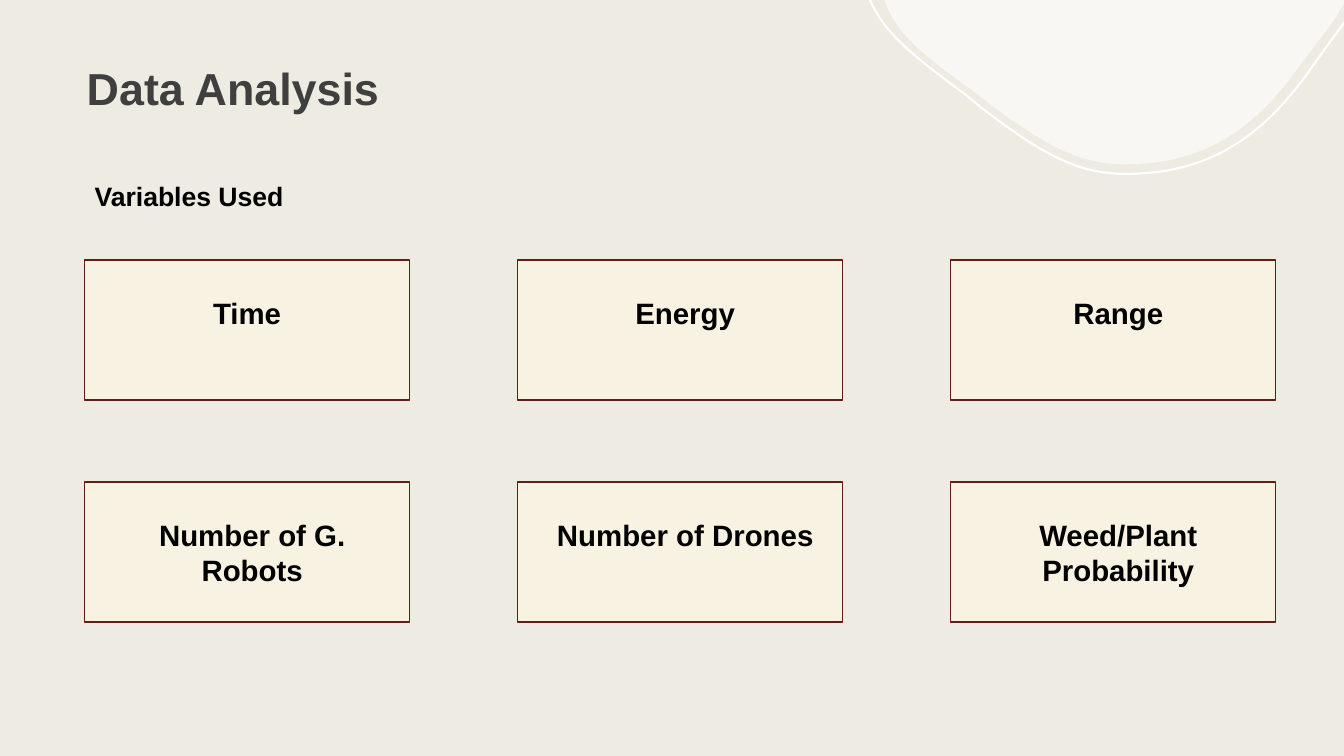
import dataclasses

import lxml.etree
import pptx
import pptx.dml.color
import pptx.enum.shapes
import pptx.enum.text
import pptx.oxml.ns
import pptx.util

Inches = pptx.util.Inches
qn = pptx.oxml.ns.qn
ANCHOR = pptx.enum.text.MSO_ANCHOR
ALIGN = pptx.enum.text.PP_ALIGN


@dataclasses.dataclass(frozen=True)
class Theme:
    font: str = "Arial"
    background: str = "EEEBE2"
    white: str = "FFFFFF"
    heading: str = "3F3F3F"
    ink: str = "000000"
    card: str = "F8F2E2"
    border: str = "601E17"
    title_size: int = 32
    subtitle_size: int = 19
    card_size: int = 21


THEME = Theme()
WIDTH, HEIGHT = 13.33, 7.5

# Card grid: first corner, card size and distance between cards
LEFT, TOP = 0.84, 2.58
CARD_W, CARD_H = 3.22, 1.39
STEP_X, STEP_Y = (9.43 - LEFT) / 2, 2.2
VARIABLES = [
    ["Time", "Energy", "Range"],
    ["Number of G. Robots", "Number of Drones", "Weed/Plant Probability"],
]

# Blob outline: a start point, then cubic segments (two controls, one end)
BLOB_START = (8.77, -0.82)
BLOB_CURVES = [
    [(8.73, -0.63), (8.72, -0.48), (8.72, -0.32)],
    [(8.72, -0.07), (8.8, 0.13), (8.96, 0.33)],
    [(9.14, 0.54), (9.41, 0.73), (9.69, 0.93)],
    [(9.74, 0.97), (9.79, 1.01), (9.84, 1.05)],
    [(10.32, 1.4), (10.67, 1.63), (11.15, 1.63)],
    [(11.87, 1.63), (12.39, 1.35), (12.87, 0.68)],
    [(12.93, 0.6), (12.99, 0.52), (13.05, 0.44)],
    [(13.29, 0.13), (13.41, -0.04), (13.41, -0.32)],
    [(13.41, -0.46), (13.39, -0.6), (13.33, -0.82)],
]


def rgb(value):
    return pptx.dml.color.RGBColor.from_string(value)


def add_outline(s, place):
    """Blob outline with every point moved by place(x, y)."""
    def emu(point):
        return tuple(int(Inches(v)) for v in place(*point))

    curves = [[emu(point) for point in curve] for curve in BLOB_CURVES]
    knots = [emu(BLOB_START)] + [curve[-1] for curve in curves]
    builder = s.shapes.build_freeform(*knots[0], scale=1.0)
    builder.add_line_segments(knots[1:], close=True)
    sp = builder.convert_to_shape()
    sp.shadow.inherit = False

    left, top = (min(values) for values in zip(*knots))
    segments = list(sp.element.iter(qn("a:lnTo")))
    for segment, curve in zip(segments, curves):
        bezier = lxml.etree.Element(qn("a:cubicBezTo"))
        for x, y in curve:
            lxml.etree.SubElement(bezier, qn("a:pt"),
                                  x=str(x - left), y=str(y - top))
        segment.getparent().replace(segment, bezier)
    return sp


def add_blob(s):
    """Translucent blob in the corner with a slightly larger ring around it."""
    blob = add_outline(s, lambda x, y: (x, y))
    blob.line.fill.background()
    blob.fill.solid()
    blob.fill.fore_color.rgb = rgb(THEME.white)
    color = next(blob.element.spPr.iter(qn("a:srgbClr")))
    lxml.etree.SubElement(color, qn("a:alpha"), val="60000")

    center = 11.06
    ring = add_outline(
        s, lambda x, y: (center + 1.08 * (x - center), 1.12 * y - 0.1))
    ring.fill.background()
    ring.line.color.rgb = rgb(THEME.white)
    ring.line.width = pptx.util.Pt(1.5)


def write(sp, text, size, color, insets, anchor=ANCHOR.TOP, align=ALIGN.LEFT):
    """Put one bold paragraph in a shape; insets are left, top, right, bottom."""
    tf = sp.text_frame
    frame = {"word_wrap": True, "vertical_anchor": anchor,
             "auto_size": pptx.enum.text.MSO_AUTO_SIZE.NONE}
    for side, inset in zip(("left", "top", "right", "bottom"), insets):
        frame["margin_" + side] = Inches(inset)
    for name, value in frame.items():
        setattr(tf, name, value)
    p = tf.paragraphs[0]
    p.alignment = align
    r = p.add_run()
    r.text = text
    font = {"name": THEME.font, "size": pptx.util.Pt(size), "bold": True}
    for name, value in font.items():
        setattr(r.font, name, value)
    r.font.color.rgb = rgb(color)


def add_title(s, text):
    sp = s.shapes.title
    box = {"left": 0.74, "top": 0.48, "width": 8.63, "height": 0.77}
    for name, value in box.items():
        setattr(sp, name, Inches(value))
    write(sp, text, THEME.title_size, THEME.heading,
          (0.12, 0.12, 0.12, 0.11), ANCHOR.BOTTOM)


def add_subtitle(s, text):
    sp = s.shapes.add_textbox(*map(Inches, (LEFT, 1.68, 7.4, 0.47)))
    write(sp, text, THEME.subtitle_size, THEME.ink, (0.1, 0.11, 0.1, 0.1))


def add_card(s, column, row, text):
    sp = s.shapes.add_shape(
        pptx.enum.shapes.MSO_SHAPE.RECTANGLE,
        Inches(LEFT + column * STEP_X), Inches(TOP + row * STEP_Y),
        Inches(CARD_W), Inches(CARD_H))
    sp.shadow.inherit = False
    sp.fill.solid()
    sp.fill.fore_color.rgb = rgb(THEME.card)
    sp.line.color.rgb = rgb(THEME.border)
    sp.line.width = pptx.util.Pt(1)
    left = 0.1 if (column, row) == (0, 0) else 0.2
    write(sp, text, THEME.card_size, THEME.ink, (left, 0.35, 0.1, 0.05),
          align=ALIGN.CENTER)


def main():
    prs = pptx.Presentation()
    prs.slide_width, prs.slide_height = Inches(WIDTH), Inches(HEIGHT)
    s = prs.slides.add_slide(prs.slide_layouts.get_by_name("Title Only"))
    s.background.fill.solid()
    s.background.fill.fore_color.rgb = rgb(THEME.background)
    add_blob(s)
    add_title(s, "Data Analysis")
    add_subtitle(s, "Variables Used")
    for row, names in enumerate(VARIABLES):
        for column, name in enumerate(names):
            add_card(s, column, row, name)
    prs.save("out.pptx")


if __name__ == "__main__":
    main()
